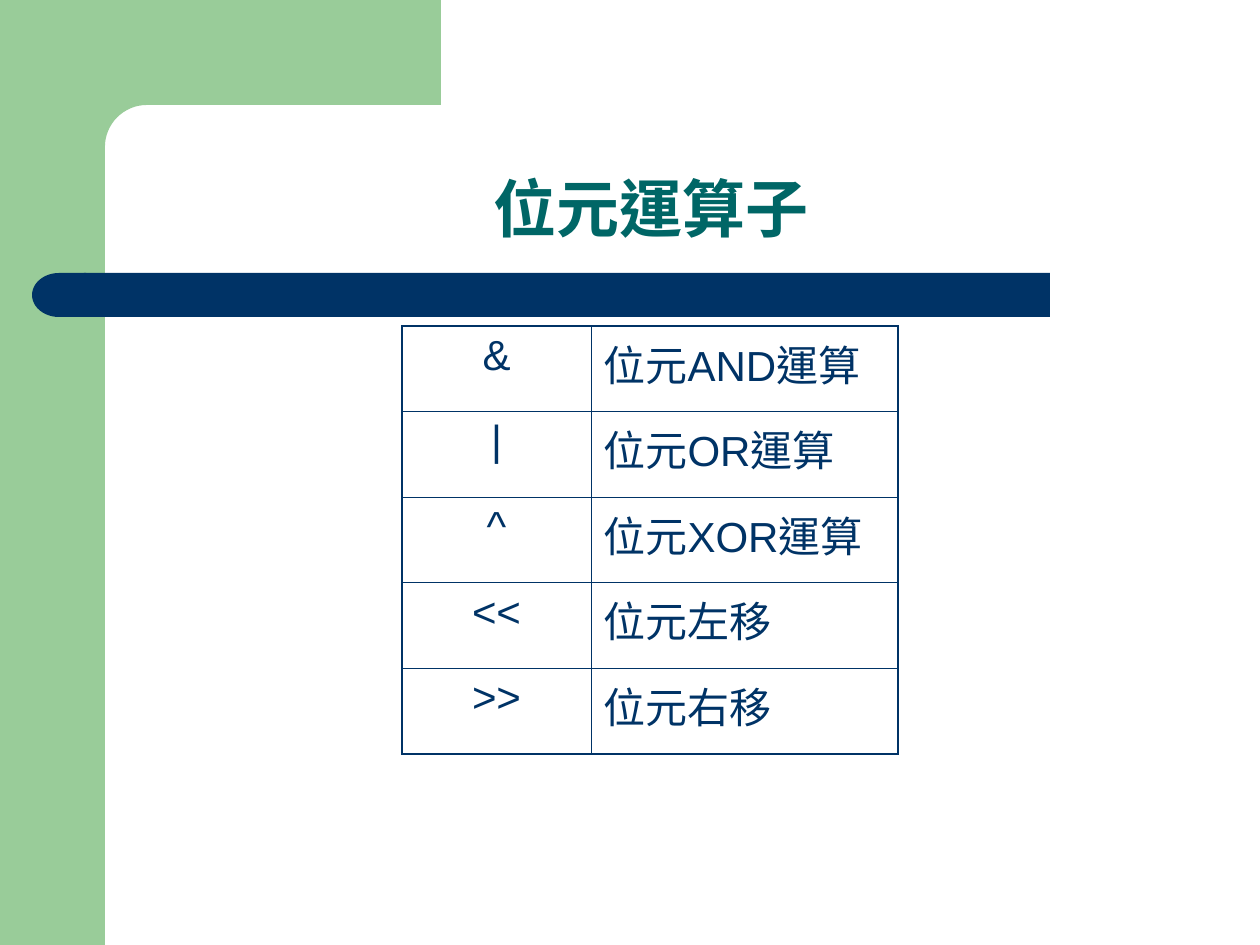
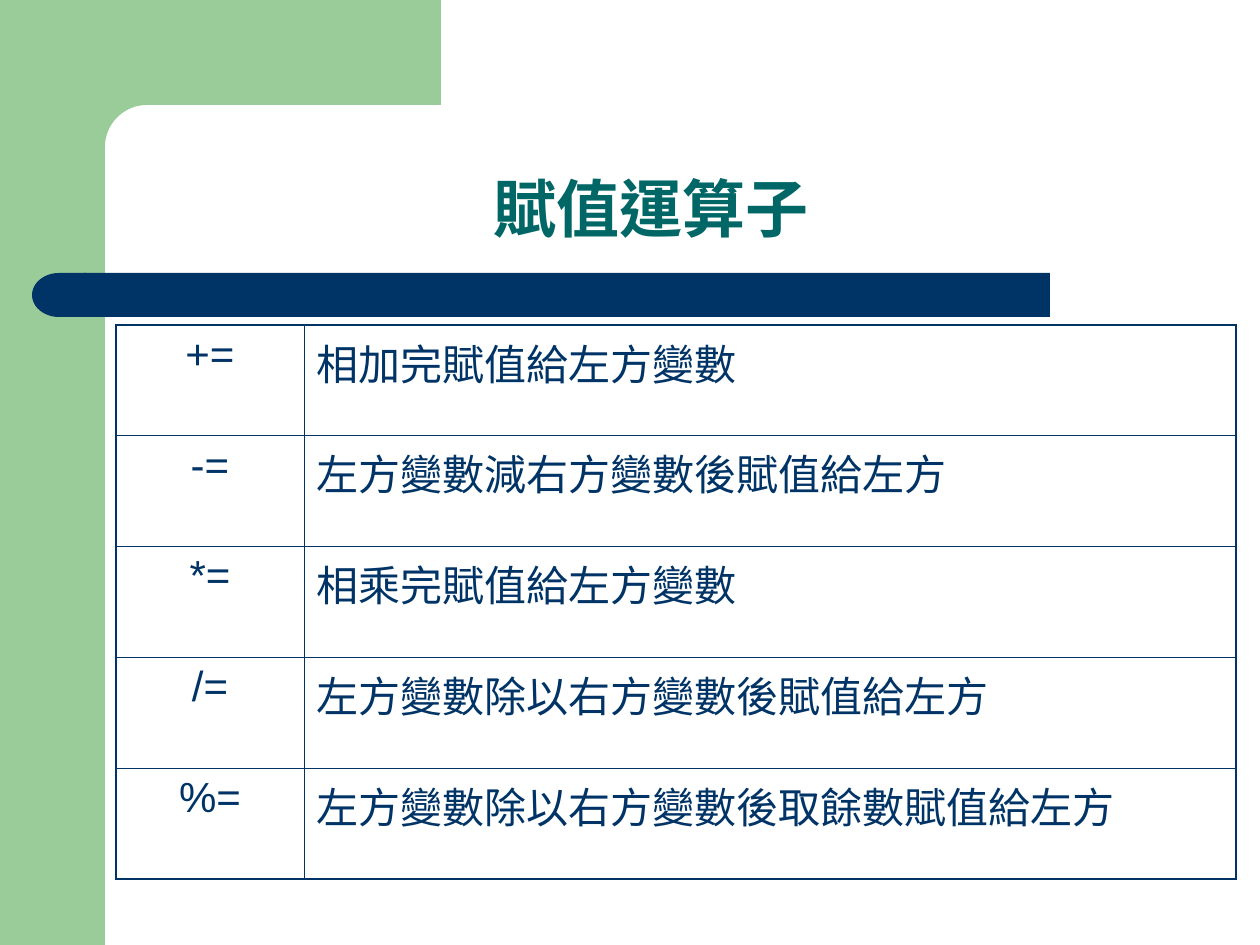
"""Build two slides that list bitwise and assignment operators in tables."""
from dataclasses import dataclass
from math import cos, pi, sin

from lxml import etree
from pptx import Presentation
from pptx.dml.color import RGBColor
from pptx.enum.lang import MSO_LANGUAGE_ID
from pptx.enum.shapes import MSO_SHAPE
from pptx.enum.text import MSO_ANCHOR, MSO_AUTO_SIZE, PP_ALIGN
from pptx.oxml.ns import qn
from pptx.util import Emu, Pt

GREEN = RGBColor(0x99, 0xCC, 0x99)
NAVY = RGBColor(0x00, 0x33, 0x66)
TEAL = RGBColor(0x00, 0x66, 0x66)

RECTANGLE = MSO_SHAPE.RECTANGLE
DELAY = MSO_SHAPE.FLOWCHART_DELAY
CENTER = PP_ALIGN.CENTER
LEFT = PP_ALIGN.LEFT
BOTTOM = MSO_ANCHOR.BOTTOM
NO_AUTOFIT = MSO_AUTO_SIZE.NONE
CHINESE = MSO_LANGUAGE_ID.TRADITIONAL_CHINESE

PX = 914400 / 126
FONT = "Arial"
TITLE_ONLY = 5
OUTER_LINE = Pt(1.08)
INNER_LINE = Pt(0.45)
SIDE_WIDTH = 105
TOP_HEIGHT = 105
TOP_RIGHT = 441
CORNER_RADIUS = 42
CORNER_STEPS = 16


@dataclass(frozen=True)
class Box:
    left: int
    top: int
    width: int
    height: int

    def emu(self) -> list[Emu]:
        return [px(value) for value in (self.left, self.top, self.width, self.height)]


@dataclass(frozen=True)
class Decoration:
    kind: MSO_SHAPE
    box: Box
    color: RGBColor
    rotation: int = 0


@dataclass(frozen=True)
class OperatorSlide:
    title: str
    box: Box
    symbol_width: int
    operators: list[tuple[str, str]]


def px(value: float) -> Emu:
    return Emu(round(value * PX))


TITLE_BOX = Box(115, 115, 1072, 137)
DECORATIONS = [
    Decoration(RECTANGLE, Box(0, 0, SIDE_WIDTH, 945), GREEN),
    Decoration(RECTANGLE, Box(84, 273, 966, 44), NAVY),
    Decoration(DELAY, Box(32, 273, 54, 44), NAVY, 180),
]
SLIDES = [
    OperatorSlide("位元運算子", Box(402, 326, 496, 428), 189, [
        ("&", "位元AND運算"),
        ("|", "位元OR運算"),
        ("^", "位元XOR運算"),
        ("<<", "位元左移"),
        (">>", "位元右移"),
    ]),
    OperatorSlide("賦值運算子", Box(116, 325, 1120, 554), 188, [
        ("+=", "相加完賦值給左方變數"),
        ("-=", "左方變數減右方變數後賦值給左方"),
        ("*=", "相乘完賦值給左方變數"),
        ("/=", "左方變數除以右方變數後賦值給左方"),
        ("%=", "左方變數除以右方變數後取餘數賦值給左方"),
    ]),
]


def paint(shape, color: RGBColor) -> None:
    shape.shadow.inherit = False
    shape.fill.solid()
    shape.fill.fore_color.rgb = color
    shape.line.fill.background()


def format_text(paragraph, size: int, color: RGBColor, alignment: PP_ALIGN,
                bold: bool = False) -> None:
    paragraph.alignment = alignment
    for run in paragraph.runs:
        font = run.font
        font.name = FONT
        font.size = Pt(size)
        font.bold = bold
        font.color.rgb = color
        font.language_id = CHINESE


def add_corner(slide) -> None:
    center_x = SIDE_WIDTH + CORNER_RADIUS
    center_y = TOP_HEIGHT + CORNER_RADIUS
    angles = [step * pi / 2 / CORNER_STEPS for step in range(CORNER_STEPS + 1)]
    arc = [(px(center_x - CORNER_RADIUS * sin(angle)),
            px(center_y - CORNER_RADIUS * cos(angle))) for angle in angles]
    left = px(SIDE_WIDTH // 2)
    builder = slide.shapes.build_freeform(left, 0)
    builder.add_line_segments([
        (px(TOP_RIGHT), 0), (px(TOP_RIGHT), px(TOP_HEIGHT)), *arc, (left, px(center_y)),
    ])
    paint(builder.convert_to_shape(), GREEN)


def add_decorations(slide) -> None:
    for decoration in DECORATIONS:
        shape = slide.shapes.add_shape(decoration.kind, *decoration.box.emu())
        shape.rotation = decoration.rotation
        paint(shape, decoration.color)
    add_corner(slide)


def set_title(slide, text: str) -> None:
    title = slide.shapes.title
    title.left, title.top, title.width, title.height = TITLE_BOX.emu()
    text_frame = title.text_frame
    text_frame.text = text
    text_frame.auto_size = NO_AUTOFIT
    text_frame.vertical_anchor = BOTTOM
    paragraph = text_frame.paragraphs[0]
    paragraph.line_spacing = 0.9
    format_text(paragraph, 36, TEAL, CENTER, bold=True)


def set_borders(cell, outer_sides: dict[str, bool]) -> None:
    properties = cell._tc.get_or_add_tcPr()
    for index, (side, is_outer) in enumerate(outer_sides.items()):
        width = OUTER_LINE if is_outer else INNER_LINE
        line = etree.Element(qn(f"a:ln{side}"), w=str(width))
        fill = etree.SubElement(line, qn("a:solidFill"))
        etree.SubElement(fill, qn("a:srgbClr"), val=str(NAVY))
        properties.insert(index, line)


def add_operator_table(slide, content: OperatorSlide) -> None:
    row_count = len(content.operators)
    table = slide.shapes.add_table(row_count, 2, *content.box.emu()).table
    table.first_row = False
    table.horz_banding = False
    table.columns[0].width = px(content.symbol_width)
    table.columns[1].width = px(content.box.width - content.symbol_width)
    for row_index, texts in enumerate(content.operators):
        table.rows[row_index].height = px(content.box.height / row_count)
        for column_index, text in enumerate(texts):
            cell = table.cell(row_index, column_index)
            cell.text_frame.text = text
            cell.fill.background()
            paragraph = cell.text_frame.paragraphs[0]
            paragraph.space_before = Pt(6)
            format_text(paragraph, 24, NAVY, LEFT if column_index else CENTER)
            set_borders(cell, {
                "L": column_index == 0,
                "R": column_index == 1,
                "T": row_index == 0,
                "B": row_index == row_count - 1,
            })


def main() -> None:
    presentation = Presentation()
    presentation.slide_width = px(1260)
    presentation.slide_height = px(945)
    for content in SLIDES:
        slide = presentation.slides.add_slide(presentation.slide_layouts[TITLE_ONLY])
        add_decorations(slide)
        set_title(slide, content.title)
        add_operator_table(slide, content)
    presentation.save("out.pptx")


if __name__ == "__main__":
    main()
